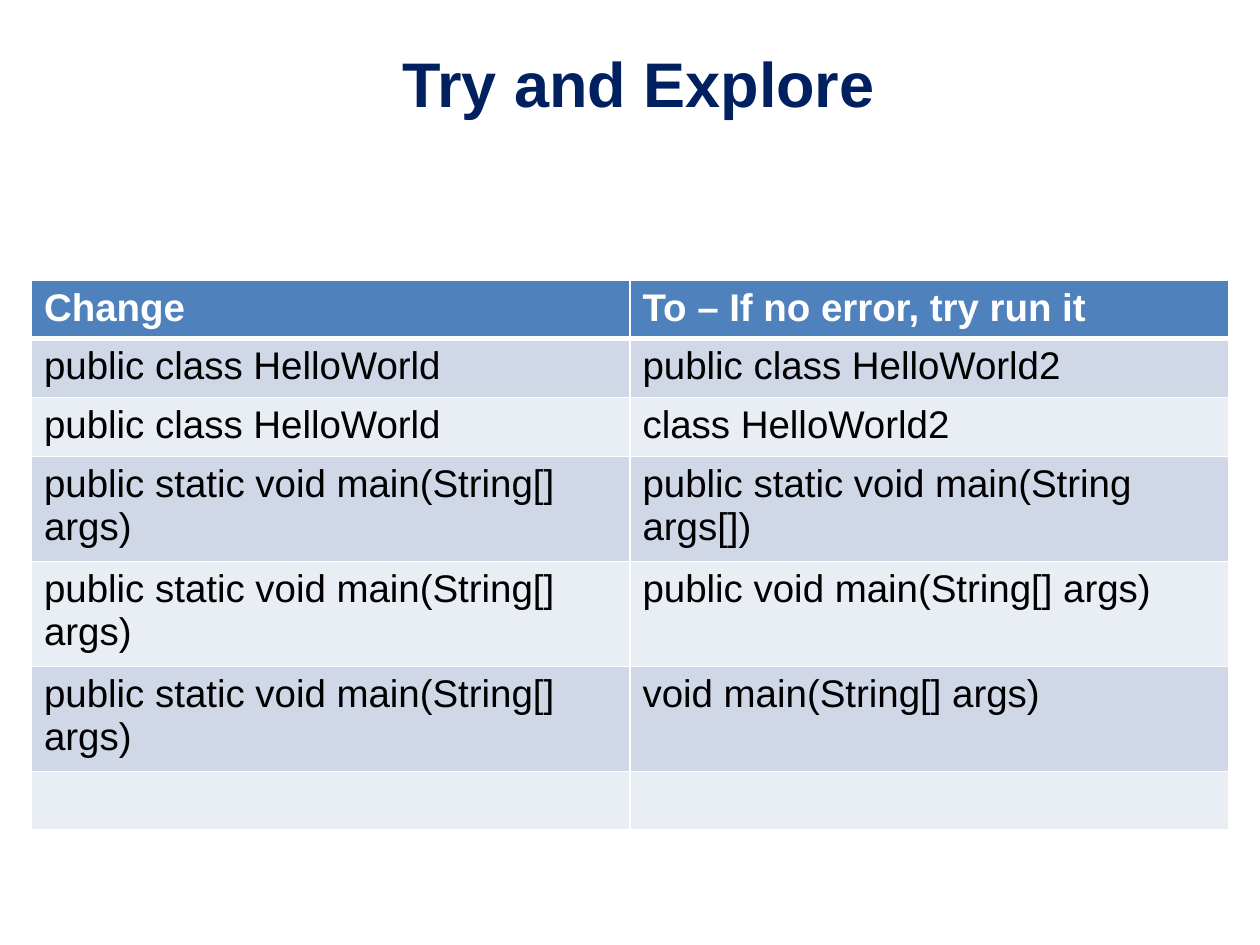
from dataclasses import dataclass
from typing import NamedTuple

from lxml.etree import SubElement
from pptx import Presentation
from pptx.dml.color import RGBColor as Rgb
from pptx.enum.text import MSO_ANCHOR as Anchor, PP_ALIGN as Align
from pptx.oxml.ns import qn
from pptx.util import Pt


@dataclass(frozen=True)
class Theme:
    """Colours, font and type sizes of the slide."""
    font: str = "Arial"
    title_size: int = 36
    body_size: int = 22
    title: str = "002060"
    header: str = "4F81BD"
    bands: tuple[str, str] = ("D0D8E8", "E9EDF4")
    light: str = "FFFFFF"
    dark: str = "000000"


class Experiment(NamedTuple):
    """One row: the code to change and its replacement."""
    change: str
    to: str


THEME = Theme()
CLASS_LINE = "public class HelloWorld"
MAIN_LINE = "public static void main(String[] args)"
EXPERIMENTS = [
    Experiment("Change", "To – If no error, try run it"),
    Experiment(CLASS_LINE, "public class HelloWorld2"),
    Experiment(CLASS_LINE, "class HelloWorld2"),
    Experiment(MAIN_LINE, "public static void main(String args[])"),
    Experiment(MAIN_LINE, "public void main(String[] args)"),
    Experiment(MAIN_LINE, "void main(String[] args)"),
    Experiment("", ""),
]
ROW_HEIGHT, EMPTY_ROW_HEIGHT = 29.5, 33.4


def write(paragraph, text: str, size: int, color: str, bold: bool) -> None:
    """Add one formatted run to a paragraph."""
    run = paragraph.add_run()
    run.text = text
    formats = {"name": THEME.font, "size": Pt(size), "bold": bold}
    for attribute, value in formats.items():
        setattr(run.font, attribute, value)
    run.font.color.rgb = Rgb.from_string(color)


def add_borders(cell, bottom: float) -> None:
    """Draw light lines on all four sides of a cell."""
    properties = cell._tc.get_or_add_tcPr()
    for side, width in {"L": 1, "R": 1, "T": 1, "B": bottom}.items():
        line = SubElement(properties, qn(f"a:ln{side}"), w=str(Pt(width)))
        fill = SubElement(line, qn("a:solidFill"))
        SubElement(fill, qn("a:srgbClr"), val=THEME.light)


def add_title(slide, text: str) -> None:
    """Place the centred slide title."""
    box = slide.shapes.add_textbox(Pt(36), Pt(21.6), Pt(648), Pt(50.4))
    frame = box.text_frame
    formats = {"word_wrap": True, "vertical_anchor": Anchor.MIDDLE}
    for attribute, value in formats.items():
        setattr(frame, attribute, value)
    heading = frame.paragraphs[0]
    heading.alignment = Align.CENTER
    write(heading, text, THEME.title_size, THEME.title, True)


def add_experiments(slide, experiments: list[Experiment]) -> None:
    """Build the table with a header row and alternating bands."""
    count = len(experiments)
    table = slide.shapes.add_table(
        count, 2, Pt(18), Pt(160), Pt(684), Pt(ROW_HEIGHT * count)).table
    for index, experiment in enumerate(experiments):
        is_header = index == 0
        has_text = any(experiment)
        table.rows[index].height = Pt(ROW_HEIGHT if has_text else EMPTY_ROW_HEIGHT)
        background = THEME.header if is_header else THEME.bands[(index - 1) % 2]
        for column, text in enumerate(experiment):
            cell = table.cell(index, column)
            # The header's lower line and the line above the first band coincide.
            add_borders(cell, 3 if is_header else 1)
            cell.fill.solid()
            cell.fill.fore_color.rgb = Rgb.from_string(background)
            if text:
                write(cell.text_frame.paragraphs[0], text, THEME.body_size,
                      THEME.light if is_header else THEME.dark, is_header)
    for column in range(2):
        first_band = table.cell(1, column)._tc.tcPr
        first_band.remove(first_band.find(qn("a:lnT")))


def main() -> None:
    """Create and save the slide."""
    deck = Presentation()
    deck.slide_width, deck.slide_height = Pt(720), Pt(540)
    slide = deck.slides.add_slide(deck.slide_layouts[6])
    add_title(slide, "\u00a0Try and Explore")
    add_experiments(slide, EXPERIMENTS)
    deck.save("out.pptx")


main()
